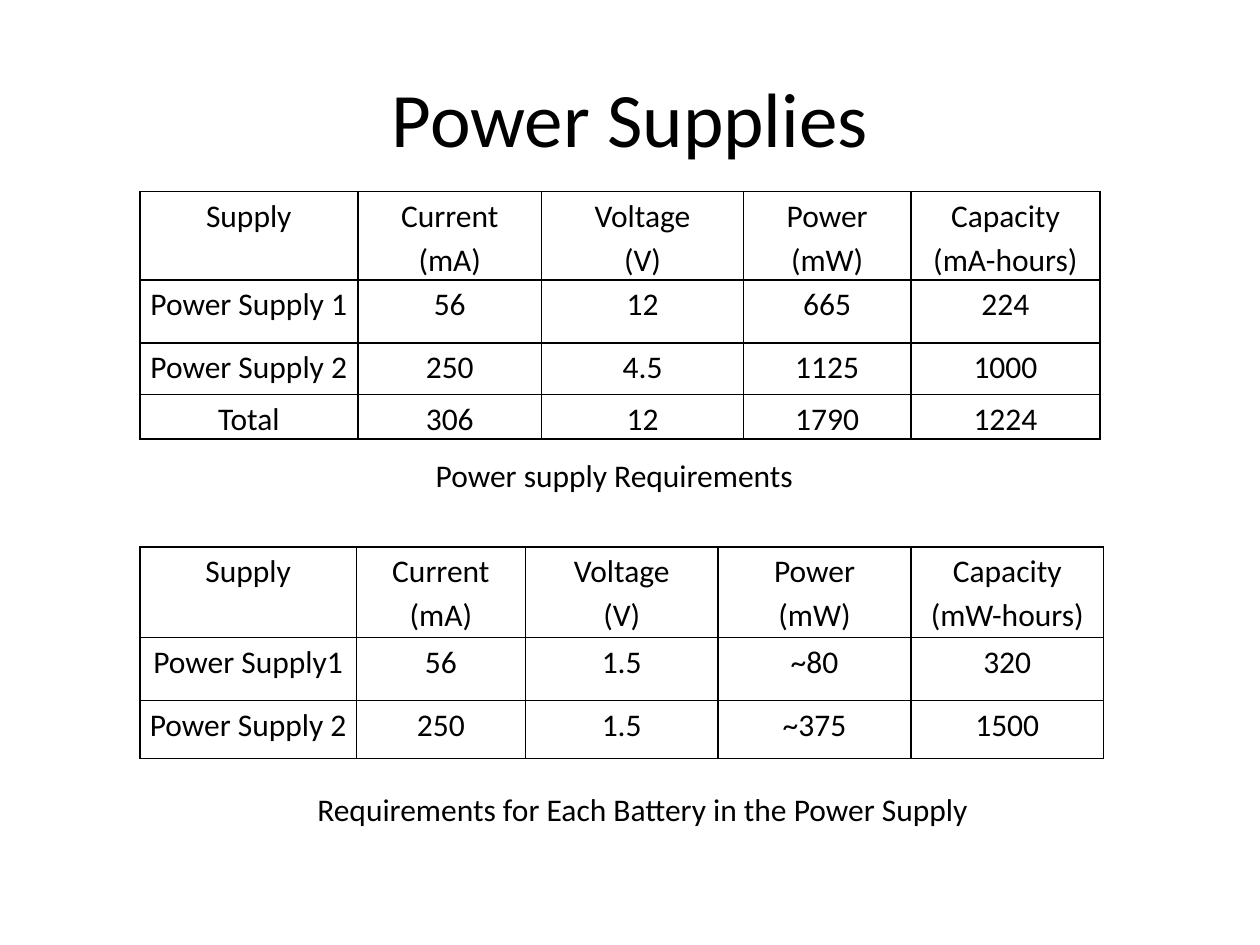
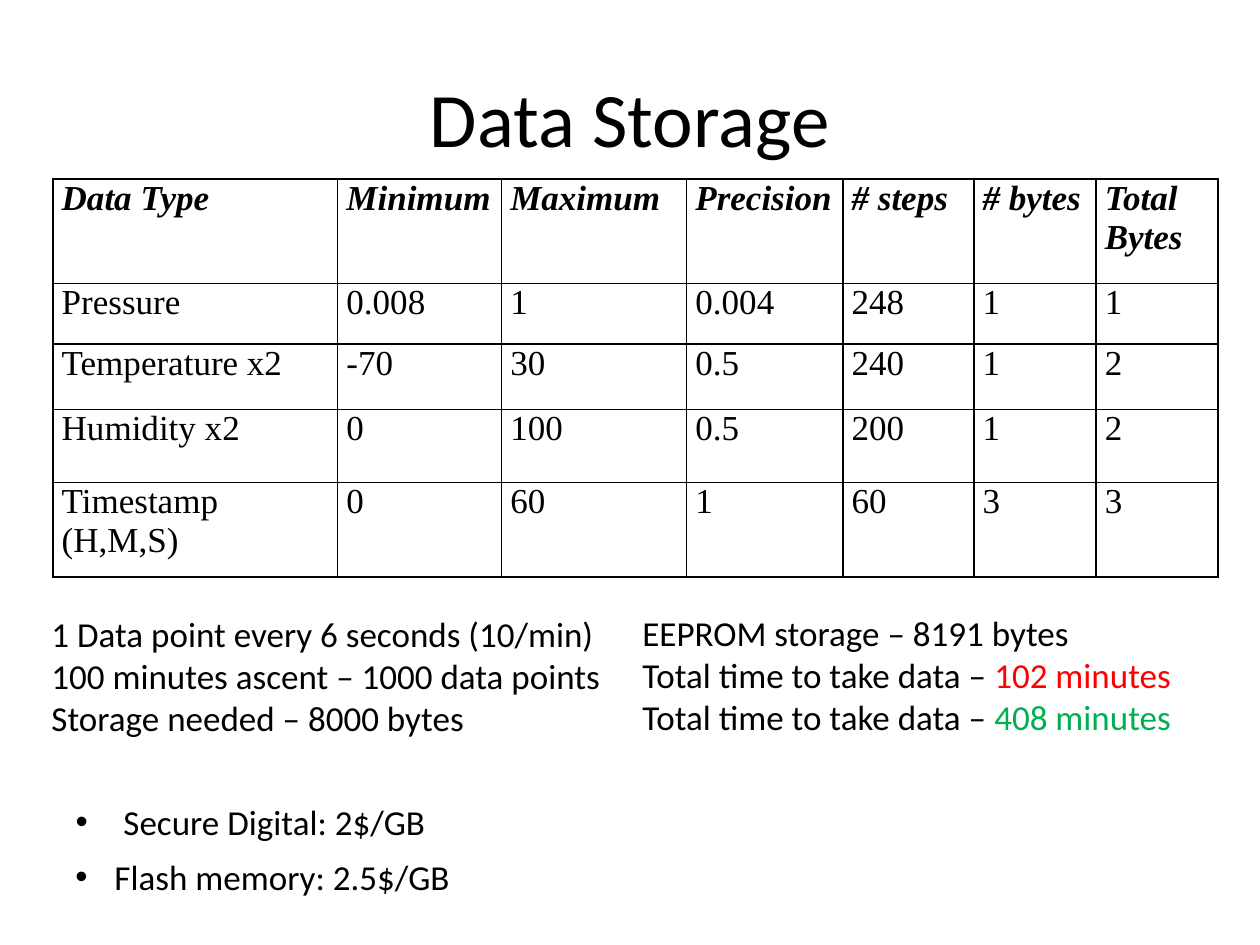
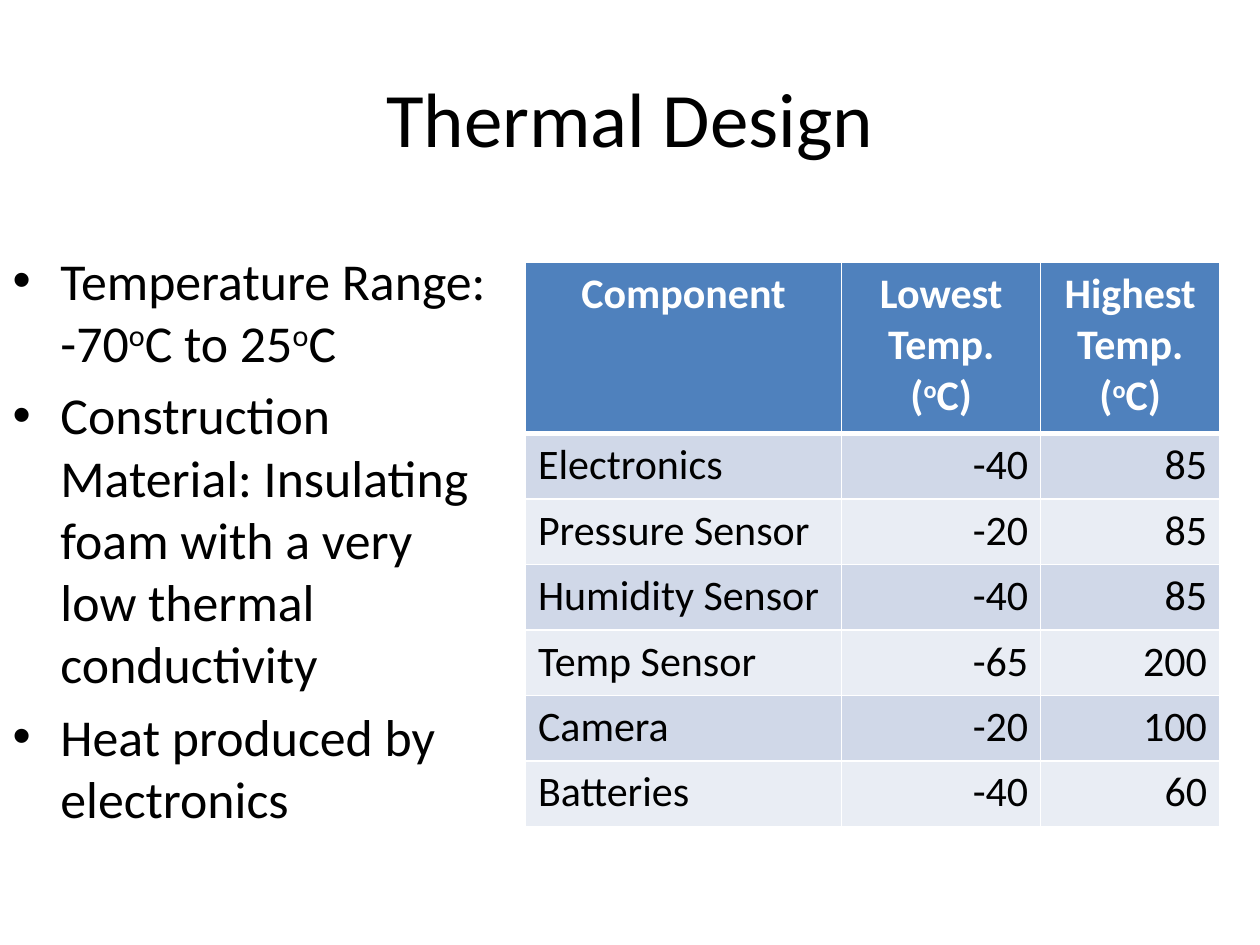
"""Build three slides on power supplies, data storage and thermal design."""
import dataclasses

import lxml.etree
import pptx
import pptx.dml.color
import pptx.enum.text
import pptx.oxml.ns
import pptx.util

Inches = pptx.util.Inches
ALIGN = pptx.enum.text.PP_ALIGN
SUPER = {"baseline": 30}


@dataclasses.dataclass(frozen=True)
class Theme:
    """Hold the colours, fonts and type sizes of the deck."""
    ink: str = "000000"
    paper: str = "FFFFFF"
    alert: str = "FF0000"
    good: str = "00B050"
    header: str = "4F81BD"
    bands: tuple = ("D0D8E8", "E9EDF4")
    font: str = "Calibri"
    serif: str = "Times New Roman"
    title: float = 44
    list: float = 29.6
    thermal: float = 24
    note: float = 20
    caption: float = 18


THEME = Theme()


def rgb(value):
    """Turn a hex string into a colour."""
    return pptx.dml.color.RGBColor.from_string(value)


def add_child(parent, tag, **attributes):
    """Append a DrawingML element."""
    return lxml.etree.SubElement(parent, pptx.oxml.ns.qn(tag), attributes)


def add_bullet(para, indent):
    """Give a paragraph a round bullet with a hanging indent."""
    properties = para._p.get_or_add_pPr()
    properties.set("marL", str(Inches(indent)))
    properties.set("indent", str(-Inches(indent)))
    add_child(properties, "a:buFont", typeface="Arial")
    add_child(properties, "a:buChar", char="•")


def write_text(frame, paragraphs, size=THEME.caption, font=THEME.font, color=THEME.ink,
               bold=False, italic=False, align=ALIGN.LEFT, spacing=None, bullet=None, gap=0):
    """Write paragraphs, each a string or a list of strings and (text, format) pairs."""
    for index, pieces in enumerate(paragraphs):
        para = frame.add_paragraph() if index else frame.paragraphs[0]
        if bullet:
            add_bullet(para, bullet)
        para.alignment = align
        para.line_spacing = spacing
        para.space_before = pptx.util.Pt(gap if index else 0)
        for piece in [pieces] if isinstance(pieces, str) else pieces:
            text, look = (piece, {}) if isinstance(piece, str) else piece
            span = para.add_run()
            span.text = text
            span.font.size = pptx.util.Pt(size)
            span.font.name = font
            span.font.bold = bold
            span.font.italic = italic
            span.font.color.rgb = rgb(look.get("color", color))
            if "baseline" in look:
                span._r.get_or_add_rPr().set("baseline", str(look["baseline"] * 1000))


def place(shape, left, top, width, height):
    """Move and size a shape, in inches."""
    shape.left, shape.top = Inches(left), Inches(top)
    shape.width, shape.height = Inches(width), Inches(height)


def add_page(deck, title, layout):
    """Add a slide with the shared title style."""
    page = deck.slides.add_slide(deck.slide_layouts.get_by_name(layout))
    heading = page.shapes.title
    place(heading, 0.5, 0.3, 9, 1.25)
    heading.text_frame.vertical_anchor = pptx.enum.text.MSO_ANCHOR.MIDDLE
    write_text(heading.text_frame, [title], size=THEME.title, align=ALIGN.CENTER)
    return page


def fill_body(page, position, paragraphs, **look):
    """Place the body placeholder and write its bullet list."""
    body = page.placeholders[1]
    place(body, *position)
    body.text_frame.auto_size = pptx.enum.text.MSO_AUTO_SIZE.NONE
    write_text(body.text_frame, paragraphs, bullet=0.38, **look)


def add_note(page, position, paragraphs, **look):
    """Add a wrapping text box."""
    box = page.shapes.add_textbox(*map(Inches, position))
    box.text_frame.word_wrap = True
    write_text(box.text_frame, paragraphs, **look)


def set_borders(cell, color, **widths):
    """Draw the four cell borders, one point wide unless a side is given."""
    properties = cell._tc.get_or_add_tcPr()
    for side in "LRTB":
        width = pptx.util.Pt(widths.get(side, 1))
        line = add_child(properties, f"a:ln{side}", w=str(width))
        add_child(add_child(line, "a:solidFill"), "a:srgbClr", val=color)


def add_grid(page, left, top, columns, heights, rows):
    """Add an empty table and yield the row, column, cell and content of each cell."""
    frame = page.shapes.add_table(len(rows), len(columns), Inches(left), Inches(top),
                                  Inches(sum(columns)), Inches(sum(heights)))
    table = frame.table
    table.horz_banding = False
    for column, width in zip(table.columns, columns):
        column.width = Inches(width)
    for line, height in zip(table.rows, heights):
        line.height = Inches(height)
    for r, values in enumerate(rows):
        for c, value in enumerate(values):
            content = value.split("\n") if isinstance(value, str) else value
            yield r, c, table.cell(r, c), content


def add_ruled_table(page, left, top, columns, heights, rows, header=None, **look):
    """Add a black-ruled table without fill; header adds to the look of its first row."""
    for r, _, cell, content in add_grid(page, left, top, columns, heights, rows):
        cell.margin_left = cell.margin_right = Inches(0.07)
        cell.margin_top = cell.margin_bottom = 0
        set_borders(cell, THEME.ink)
        cell.fill.background()
        extra = (header or {}) if r == 0 else {}
        write_text(cell.text_frame, content, **look, **extra)


def add_banded_table(page, left, top, columns, heights, rows):
    """Add a table with a coloured header, banded rows and right-aligned numbers."""
    for r, c, cell, content in add_grid(page, left, top, columns, heights, rows):
        if r == 0:
            set_borders(cell, THEME.paper, B=3)
            fill, color, align = THEME.header, THEME.paper, ALIGN.CENTER
        else:
            set_borders(cell, THEME.paper, T=3 if r == 1 else 1)
            fill, color = THEME.bands[(r - 1) % 2], THEME.ink
            align = ALIGN.RIGHT if c else ALIGN.LEFT
        cell.fill.solid()
        cell.fill.fore_color.rgb = rgb(fill)
        write_text(cell.text_frame, content, size=THEME.thermal, color=color,
                   bold=r == 0, align=align)


def power_header(capacity_unit):
    """Return the header row of a power table."""
    return ["Supply", "Current\n(mA)", "Voltage\n(V)", "Power\n(mW)",
            f"Capacity\n({capacity_unit})"]


def build_power(deck):
    """Build the power supplies slide."""
    page = add_page(deck, "Power Supplies", "Title Only")
    look = {"align": ALIGN.CENTER, "spacing": 1.15}
    add_ruled_table(page, 1.11, 1.52, [1.73, 1.46, 1.6, 1.33, 1.5], [0.63, 0.5, 0.41, 0.34], [
        power_header("mA-hours"),
        ["Power Supply 1", "56", "12", "665", "224"],
        ["Power Supply 2", "250", "4.5", "1125", "1000"],
        ["Total", "306", "12", "1790", "1224"],
    ], **look)
    add_ruled_table(page, 1.11, 4.34, [1.72, 1.34, 1.53, 1.53, 1.53], [0.72, 0.5, 0.46], [
        power_header("mW-hours"),
        ["Power Supply1", "56", "1.5", "~80", "320"],
        ["Power Supply 2", "250", "1.5", "~375", "1500"],
    ], **look)
    add_note(page, (3.36, 3.57, 6.64, 0.4), ["Power supply Requirements"])
    add_note(page, (2.42, 6.22, 5.51, 0.4), ["Requirements for Each Battery in the Power Supply"])


def build_storage(deck):
    """Build the data storage slide."""
    page = add_page(deck, "Data Storage", "Title and Content")
    add_ruled_table(page, 0.42, 1.42, [2.26, 1.3, 1.47, 1.24, 1.04, 0.97, 0.97],
                    [0.83, 0.48, 0.52, 0.58, 0.75], [
        ["Data Type", "Minimum", "Maximum", "Precision", "# steps", "# bytes", "Total Bytes"],
        ["Pressure", "0.008", "1", "0.004", "248", "1", "1"],
        ["Temperature x2", "-70", "30", "0.5", "240", "1", "2"],
        ["Humidity x2", "0", "100", "0.5", "200", "1", "2"],
        ["Timestamp\n(H,M,S)", "0", "60", "1", "60", "3", "3"],
    ], header={"bold": True, "italic": True}, size=THEME.note, font=THEME.serif)
    add_note(page, (0.31, 4.81, 4.69, 1.11), [
        "1 Data point every 6 seconds (10/min)",
        "100 minutes ascent – 1000 data points",
        "Storage needed – 8000 bytes",
    ], size=THEME.note)
    duration = "Total time to take data – "
    add_note(page, (5, 4.8, 4.75, 1.11), [
        "EEPROM storage – 8191 bytes",
        [duration, ("102 minutes", {"color": THEME.alert})],
        [duration, ("408 minutes", {"color": THEME.good})],
    ], size=THEME.note)
    fill_body(page, (0.5, 6.3, 3.08, 0.55), ["Secure Digital: 2$/GB"], size=THEME.note)
    add_note(page, (0.5, 6.74, 4.75, 0.76), ["Flash memory: 2.5$/GB"],
             size=THEME.note, bullet=0.31)


def build_thermal(deck):
    """Build the thermal design slide."""
    page = add_page(deck, "Thermal Design", "Title and Content")
    degree = ("o", SUPER)
    fill_body(page, (0, 1.92, 4, 4.95), [
        ["Temperature Range: -70", degree, "C to 25", degree, "C"],
        "Construction Material: Insulating foam with a very low thermal conductivity",
        "Heat produced by electronics",
    ], size=THEME.list, gap=6)
    unit = ["(", degree, "C)"]
    add_banded_table(page, 4.17, 2.08, [2.51, 1.58, 1.42], [1.36] + [0.52] * 6, [
        ["Component", ["Lowest Temp.", unit], ["Highest Temp.", unit]],
        ["Electronics", "-40", "85"],
        ["Pressure Sensor", "-20", "85"],
        ["Humidity Sensor", "-40", "85"],
        ["Temp Sensor", "-65", "200"],
        ["Camera", "-20", "100"],
        ["Batteries", "-40", "60"],
    ])


def main():
    """Build and save the deck."""
    deck = pptx.Presentation()
    deck.slide_width, deck.slide_height = Inches(10), Inches(7.5)
    build_power(deck)
    build_storage(deck)
    build_thermal(deck)
    deck.save("out.pptx")


if __name__ == "__main__":
    main()
